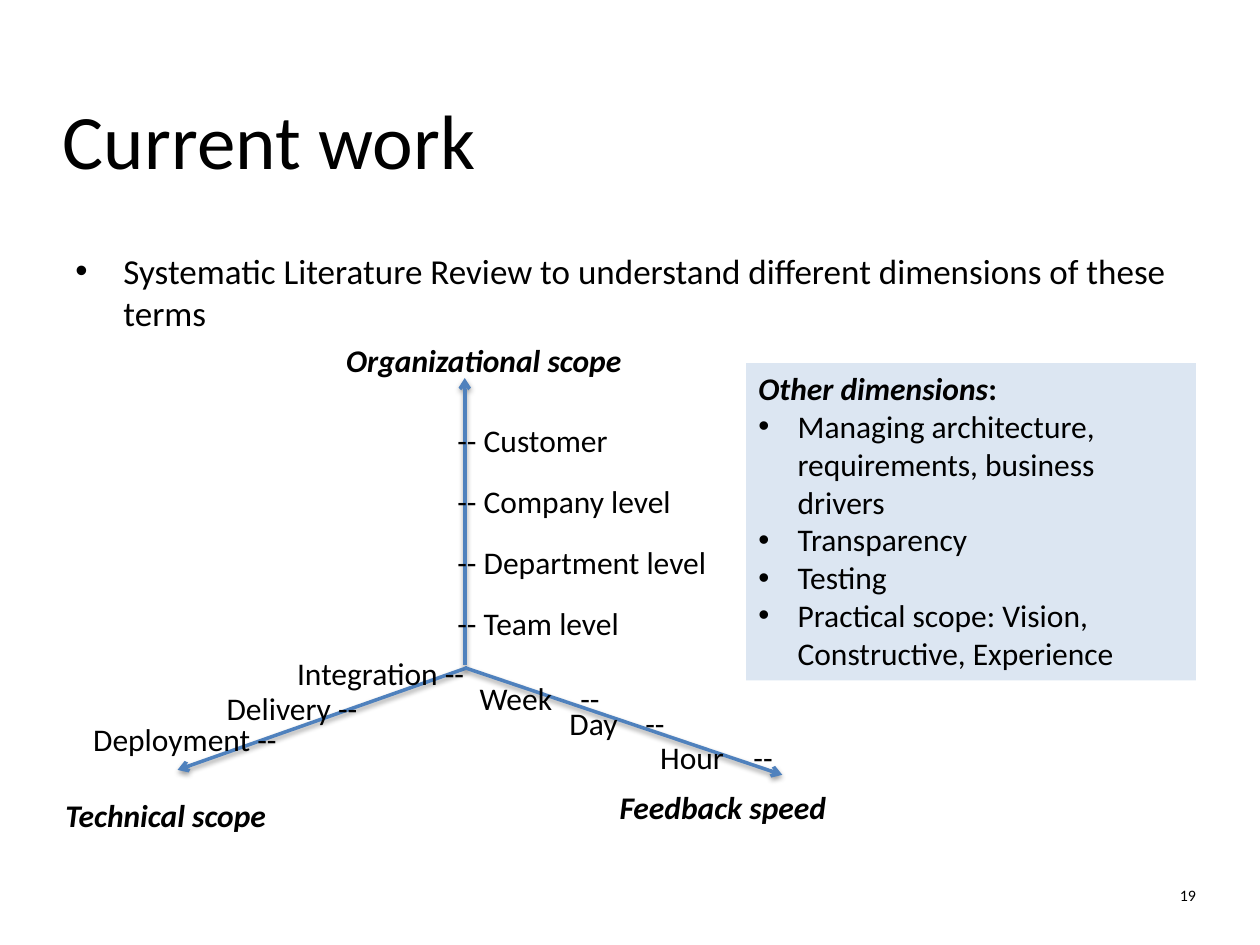
from lxml.etree import SubElement
from pptx import Presentation
from pptx.dml.color import RGBColor
from pptx.enum.shapes import MSO_CONNECTOR as CONN, MSO_SHAPE as SHAPE
from pptx.enum.text import MSO_ANCHOR as ANCHOR, MSO_AUTO_SIZE as FIT, PP_ALIGN as ALIGN
from pptx.oxml import parse_xml
from pptx.oxml.ns import nsdecls, qn
from pptx.util import Cm, Pt


def rgb(value):
    return RGBColor.from_string(value)


class Slide:
    FONT, INK, AXIS, PANEL = "Calibri", "000000", "4F81BD", "DCE6F2"
    LABEL_SIZE, LABEL_HEIGHT = 18, 1.02

    def __init__(self, prs):
        self.s = prs.slides.add_slide(prs.slide_layouts[6])

    def style(self, p, size, strong=False):
        for r in p.runs:
            f = r.font
            f.name, f.size = self.FONT, Pt(size)
            f.bold = f.italic = strong
            f.color.rgb = rgb(self.INK)

    def bullet(self, p, indent):
        pPr = p._p.get_or_add_pPr()
        pPr.set("marL", str(Cm(indent)))
        pPr.set("indent", str(-Cm(indent)))
        SubElement(pPr, qn("a:buFont")).set("typeface", "Arial")
        SubElement(pPr, qn("a:buChar")).set("char", "•")

    def text(self, text, x, y, w, h, size, strong=False, wrap=True, inset=True):
        sp = self.s.shapes.add_textbox(Cm(x), Cm(y), Cm(w), Cm(h))
        tf = sp.text_frame
        tf.word_wrap = wrap
        if not inset:
            tf.margin_left = tf.margin_right = tf.margin_top = tf.margin_bottom = 0
        tf.text = text
        self.style(tf.paragraphs[0], size, strong)
        return tf

    def label(self, text, x, y, w, strong=False):
        tf = self.text(text, x, y, w, self.LABEL_HEIGHT, self.LABEL_SIZE, strong, wrap=False)
        tf.auto_size = FIT.SHAPE_TO_FIT_TEXT

    def tabbed_label(self, text, x, y, w, tab):
        tf = self.text(f"{text}\t--", x, y, w, self.LABEL_HEIGHT, self.LABEL_SIZE)
        tf.margin_right = 0
        tabs = SubElement(tf.paragraphs[0]._p.get_or_add_pPr(), qn("a:tabLst"))
        stop = SubElement(tabs, qn("a:tab"))
        stop.set("pos", str(Cm(tab)))
        stop.set("algn", "l")

    def axis(self, x1, y1, x2, y2):
        c = self.s.shapes.add_connector(CONN.STRAIGHT, Cm(x1), Cm(y1), Cm(x2), Cm(y2))
        c.line.color.rgb = rgb(self.AXIS)
        c.line.width = Pt(2)
        SubElement(c.line._ln, qn("a:tailEnd")).set("type", "arrow")
        c._element.spPr.append(parse_xml(
            f'<a:effectLst {nsdecls("a")}><a:outerShdw blurRad="{Pt(3.1)}" dist="{Pt(1.6)}" '
            'dir="5400000" rotWithShape="0"><a:srgbClr val="000000"><a:alpha val="38000"/>'
            '</a:srgbClr></a:outerShdw></a:effectLst>'))

    def panel(self, heading, items, x, y, w, h):
        sp = self.s.shapes.add_shape(SHAPE.RECTANGLE, Cm(x), Cm(y), Cm(w), Cm(h))
        sp.shadow.inherit = False
        sp.fill.solid()
        sp.fill.fore_color.rgb = rgb(self.PANEL)
        sp.line.fill.background()
        tf = sp.text_frame
        tf.word_wrap = True
        tf.vertical_anchor = ANCHOR.TOP
        p = tf.paragraphs[0]
        p.text = heading
        p.add_run().text = ":"
        p.alignment = ALIGN.LEFT
        self.style(p, self.LABEL_SIZE, strong=True)
        p.runs[1].font.italic = False
        for item in items:
            p = tf.add_paragraph()
            p.text = item
            p.alignment = ALIGN.LEFT
            self.bullet(p, 0.79)
            self.style(p, self.LABEL_SIZE)


def main():
    prs = Presentation()
    prs.slide_width, prs.slide_height = Cm(25.4), Cm(19.05)
    slide = Slide(prs)

    # Title, introduction and page number
    title = slide.text("Current work", 1.27, 1.57, 20.14, 2.16, 44, inset=False)
    title.vertical_anchor = ANCHOR.BOTTOM
    intro = slide.text("Systematic Literature Review to understand different dimensions "
                       "of these terms", 1.27, 4.9, 22.83, 1.65, 20)
    slide.bullet(intro.paragraphs[0], 0.97)
    number = slide.text("19", 20.5, 17.86, 3.61, 0.46, 9.1, inset=False)
    number.paragraphs[0].alignment = ALIGN.RIGHT

    # Three axes
    slide.axis(9.37, 13.41, 9.37, 7.62)
    slide.axis(9.42, 13.46, 3.58, 15.52)
    slide.axis(9.37, 13.46, 15.77, 15.62)

    # Axis names
    for name, x, y, w in [("Organizational scope", 6.73, 6.76, 6.3),
                          ("Technical scope", 1.07, 15.93, 4.8),
                          ("Feedback speed", 12.24, 15.77, 4.88)]:
        slide.label(name, x, y, w, strong=True)

    # Organizational levels, evenly spaced
    levels = [("Customer", 3.58), ("Company level", 4.88),
              ("Department level", 5.59), ("Team level", 3.86)]
    for i, (level, w) in enumerate(levels):
        slide.label(f"-- {level}", 8.97, 8.36 + 1.23 * i, w)

    # Technical steps
    for step, x, y, w in [("Integration", 5.74, 13.06, 3.94),
                          ("Delivery", 4.32, 13.77, 3.18),
                          ("Deployment", 1.63, 14.4, 4.27)]:
        slide.label(f"{step} --", x, y, w)

    # Feedback intervals
    for interval, x, y, w, tab in [("Week", 9.42, 13.56, 3, 2.03),
                                   ("Day", 11.23, 14.07, 2.49, 1.53),
                                   ("Hour", 13.06, 14.76, 2.79, 1.88)]:
        slide.tabbed_label(interval, x, y, w, tab)

    # Other dimensions
    slide.panel("Other dimensions",
                ["Managing architecture, requirements, business drivers", "Transparency",
                 "Testing", "Practical scope: Vision, Constructive, Experience"],
                15.04, 7.32, 9.07, 6.4)

    prs.save("out.pptx")


if __name__ == "__main__":
    main()
